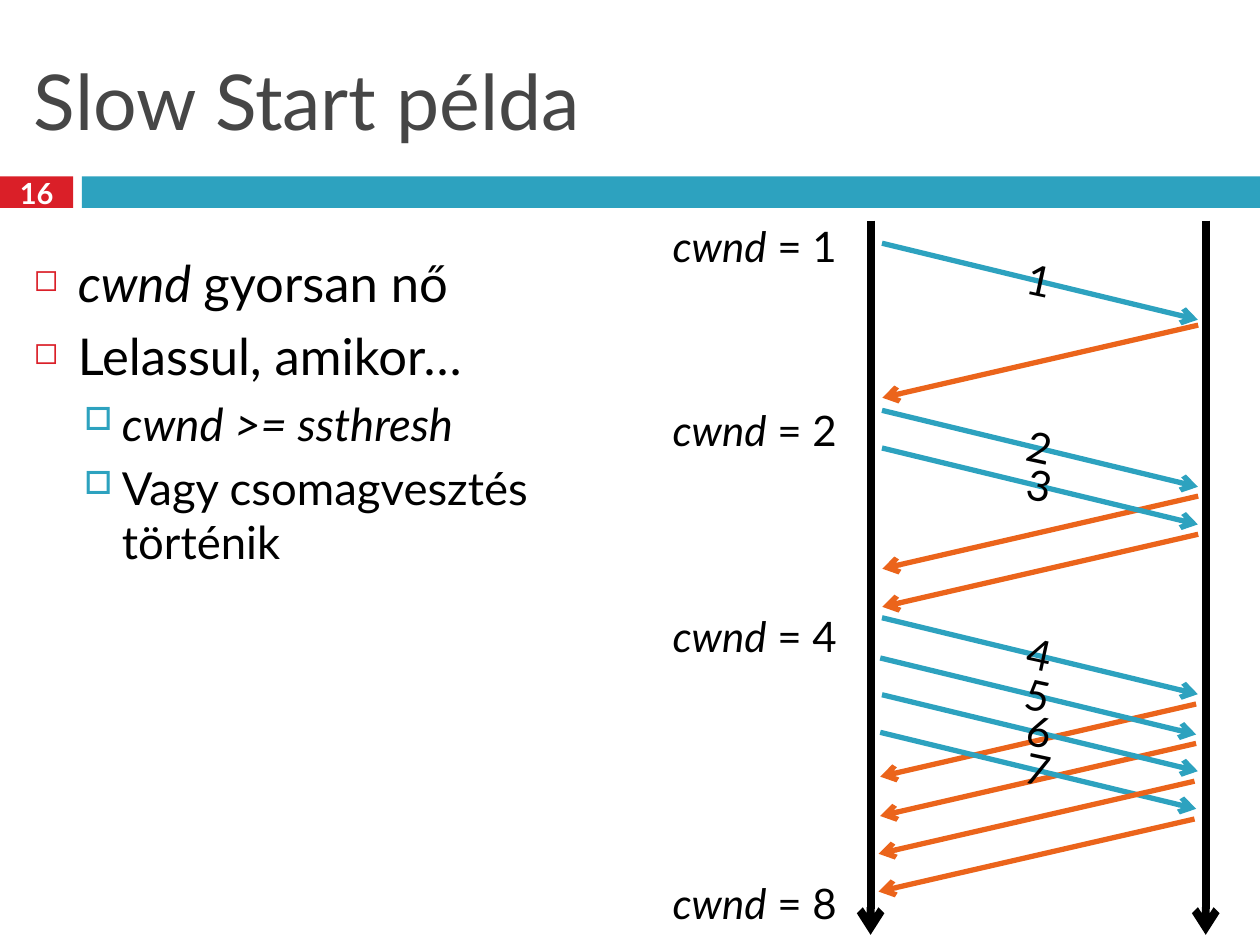
import dataclasses
import typing

import pptx
import pptx.dml.color
import pptx.enum.shapes
import pptx.enum.text
import pptx.oxml.ns
import pptx.util
from lxml import etree

Pt = pptx.util.Pt
Align = pptx.enum.text.PP_ALIGN
Anchor = pptx.enum.text.MSO_ANCHOR


@dataclasses.dataclass(frozen=True)
class Theme:
    """Colours, font and type sizes of the slide."""
    font: str = "Lato"
    red: str = "DA1F28"
    teal: str = "2DA2BF"
    orange: str = "EB641B"
    grey: str = "464646"
    black: str = "000000"
    white: str = "FFFFFF"
    title: float = 44
    body: float = 29
    detail: float = 26
    label: float = 24
    number: float = 16.6


class Span(typing.NamedTuple):
    """A stretch of text."""
    text: str
    italic: bool = False


class Level(typing.NamedTuple):
    """Format of one bullet level."""
    size: float
    margin: float
    hanging: float
    before: float
    bullet: str
    colour: str
    percent: int


class Bullet(typing.NamedTuple):
    """One bulleted paragraph."""
    level: int
    spans: list[Span]


class Start(typing.NamedTuple):
    """Where a message arrow begins."""
    x: float
    y: float


THEME = Theme()
LEVELS = [
    Level(THEME.body, 25.2, 25.2, 7, "◻", THEME.red, 60),
    Level(THEME.detail, 50.4, 21.6, 5.5, "□", THEME.teal, 70),
]
BULLETS = [
    Bullet(0, [Span("cwnd ", True), Span("gyorsan nő")]),
    Bullet(0, [Span("Lelassul, amikor…")]),
    Bullet(1, [Span("cwnd >= ssthresh", True)]),
    Bullet(1, [Span("Vagy csomagvesztés történik")]),
]
SEGMENTS = [Start(504, 139), Start(504, 234.5), Start(504, 256), Start(504, 353),
            Start(503, 376), Start(504, 397), Start(503, 418.5)]
ACKS = [Start(684.7, 185.8), Start(684.7, 283.5), Start(684.7, 305.3), Start(683.5, 402.3),
        Start(683.5, 424.8), Start(682.6, 446.4), Start(682.6, 468)]
ACKS_BEHIND = 5
REACH = 180.5
SEGMENT_DROP = 43.7
ACK_DROP = 41.5
LIFELINES = [497.5, 689]
WINDOWS = {1: 122.4, 2: 227.5, 4: 345.6, 8: 498.2}


def rgb(colour: str) -> pptx.dml.color.RGBColor:
    """Turn a hex string into a colour."""
    return pptx.dml.color.RGBColor.from_string(colour)


def add_span(para, span: Span, size: float, colour: str = THEME.black, bold: bool = False) -> None:
    """Add one formatted run to a paragraph."""
    run = para.add_run()
    run.text = span.text
    run.font.name = THEME.font
    run.font.size = Pt(size)
    run.font.bold = bold
    run.font.italic = span.italic
    run.font.color.rgb = rgb(colour)


def add_box(shapes, left: float, top: float, width: float, height: float, wrap: bool = True):
    """Add an empty text box."""
    box = shapes.add_textbox(Pt(left), Pt(top), Pt(width), Pt(height))
    box.text_frame.word_wrap = wrap
    return box


def add_bar(shapes, left: float, width: float, colour: str) -> None:
    """Add a plain bar of the band under the title."""
    bar = shapes.add_shape(pptx.enum.shapes.MSO_SHAPE.RECTANGLE,
                           Pt(left), Pt(100.8), Pt(width), Pt(18))
    bar.shadow.inherit = False
    bar.fill.solid()
    bar.fill.fore_color.rgb = rgb(colour)
    bar.line.fill.background()


def add_arrow(shapes, start: Start, across: float, down: float, colour: str, weight: float = 3) -> None:
    """Add an arrow from a start by an offset."""
    arrow = shapes.add_connector(pptx.enum.shapes.MSO_CONNECTOR.STRAIGHT, Pt(start.x), Pt(start.y),
                                 Pt(start.x + across), Pt(start.y + down))
    arrow.line.color.rgb = rgb(colour)
    arrow.line.width = Pt(weight)
    tag = pptx.oxml.ns.qn
    etree.SubElement(arrow.line._get_or_add_ln(), tag("a:tailEnd"), type="arrow")
    etree.SubElement(arrow._element.spPr, tag("a:effectLst"))


def add_segment(shapes, start: Start, number: int) -> None:
    """Add a numbered data arrow as a group."""
    group = shapes.add_group_shape()
    add_arrow(group.shapes, start, REACH, SEGMENT_DROP, THEME.teal)
    box = add_box(group.shapes, start.x + 50, start.y + 2.8, 80, 36)
    box.rotation = 12.3
    para = box.text_frame.paragraphs[0]
    para.alignment = Align.CENTER
    add_span(para, Span(str(number)), THEME.label)


def add_acks(shapes, starts: list[Start]) -> None:
    """Add the returning arrows."""
    for start in starts:
        add_arrow(shapes, start, -REACH, ACK_DROP, THEME.orange)


def format_bullet(para, level: Level) -> None:
    """Set spacing, indent and bullet of a paragraph."""
    para.space_before = Pt(level.before)
    tag = pptx.oxml.ns.qn
    properties = para._p.get_or_add_pPr()
    properties.set("marL", str(int(Pt(level.margin))))
    properties.set("indent", str(-int(Pt(level.hanging))))
    colour = etree.SubElement(properties, tag("a:buClr"))
    etree.SubElement(colour, tag("a:srgbClr"), val=level.colour)
    etree.SubElement(properties, tag("a:buSzPct"), val=str(level.percent * 1000))
    etree.SubElement(properties, tag("a:buChar"), char=level.bullet)


def add_header(page) -> None:
    """Fill the title and draw the band with the slide number."""
    add_bar(page.shapes, 0, 41.8, THEME.red)
    add_bar(page.shapes, 46.8, 673.2, THEME.teal)
    title = page.shapes.title
    title.left, title.top, title.width, title.height = Pt(12.2), Pt(18), Pt(696), Pt(77.8)
    title.text_frame.vertical_anchor = Anchor.MIDDLE
    para = title.text_frame.paragraphs[0]
    para.alignment = Align.LEFT
    add_span(para, Span("Slow Start példa"), THEME.title, THEME.grey)
    box = add_box(page.shapes, 0, 98.6, 41.8, 23.8)
    box.text_frame.vertical_anchor = Anchor.MIDDLE
    para = box.text_frame.paragraphs[0]
    para.alignment = Align.CENTER
    add_span(para, Span("16"), THEME.number, THEME.white, bold=True)


def add_diagram(page) -> None:
    """Draw the exchange of segments and acknowledgements."""
    add_acks(page.shapes, ACKS[:ACKS_BEHIND])
    for x in LIFELINES:
        add_arrow(page.shapes, Start(x, 126), 0, 408.2, THEME.black, 4.5)
    for number, start in enumerate(SEGMENTS, 1):
        add_segment(page.shapes, start, number)
    add_acks(page.shapes, ACKS[ACKS_BEHIND:])
    for window, top in WINDOWS.items():
        para = add_box(page.shapes, 377.3, top, 112.3, 36, wrap=False).text_frame.paragraphs[0]
        for span in (Span("cwnd", True), Span(f" = {window}")):
            add_span(para, span, THEME.label)


def add_bullets(page) -> None:
    """Write the bulleted text."""
    frame = add_box(page.shapes, 12.2, 140.4, 332.6, 387.4).text_frame
    for index, bullet in enumerate(BULLETS):
        para = frame.add_paragraph() if index else frame.paragraphs[0]
        para.level = bullet.level
        level = LEVELS[bullet.level]
        format_bullet(para, level)
        for span in bullet.spans:
            add_span(para, span, level.size)


deck = pptx.Presentation()
deck.slide_width, deck.slide_height = Pt(720), Pt(540)
page = deck.slides.add_slide(deck.slide_layouts[5])
add_header(page)
add_diagram(page)
add_bullets(page)
deck.save("out.pptx")
